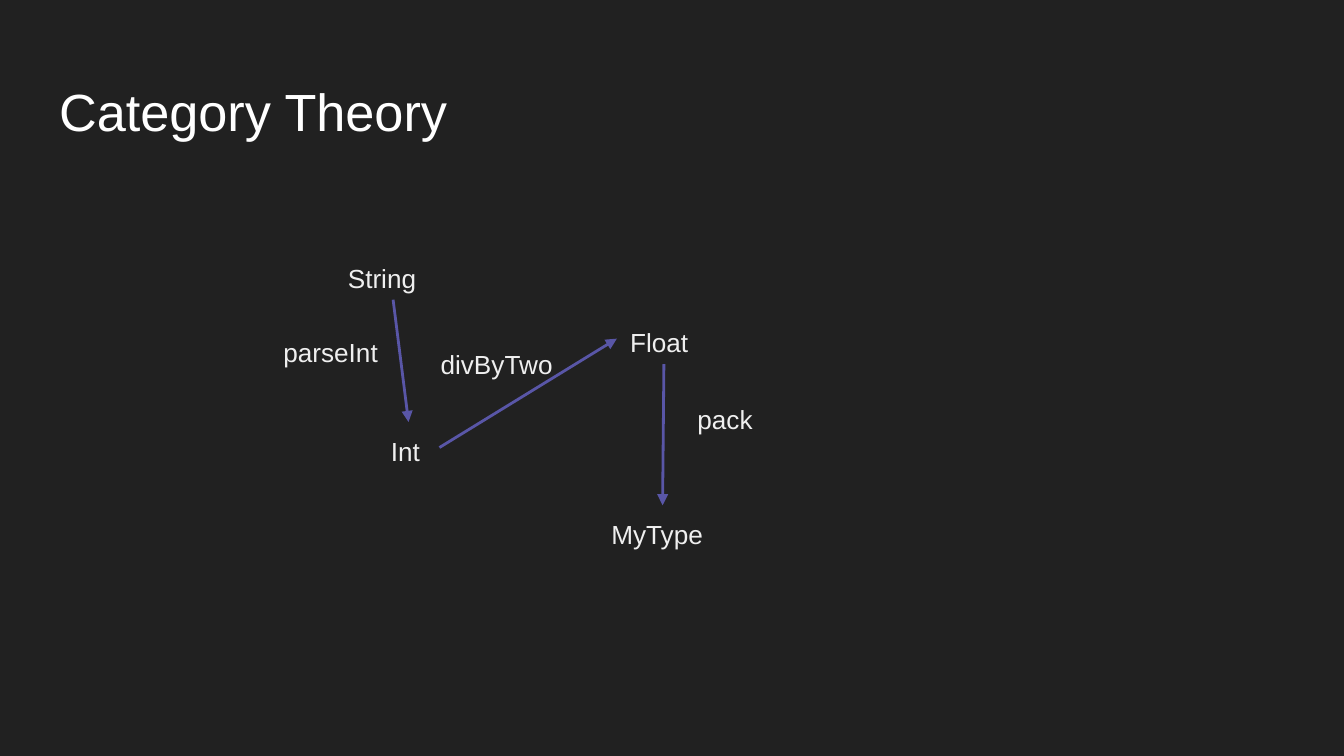
from pptx import Presentation
from pptx import util as u
from pptx.dml.color import RGBColor
from pptx.enum import shapes, text
from pptx.oxml import ns
from lxml import etree

BACKGROUND = RGBColor(0x21, 0x21, 0x21)
TITLE_COLOR = RGBColor(0xFF, 0xFF, 0xFF)
LABEL_COLOR = RGBColor(0xEF, 0xEF, 0xEF)
ARROW_COLOR = RGBColor(0x59, 0x56, 0xA7)

TOP, LEFT, BOTTOM, RIGHT = range(4)
LABEL_HEIGHT = 0.38

TYPES = {
    "String": (0.48, 0, 0.87),
    "Int": (0.80, 1.29, 0.46),
    "Float": (2.58, 0.48, 0.87),
    "MyType": (2.44, 1.91, 1.13),
}
FUNCTIONS = {
    "parseInt": (0, 0.55, 0.97),
    "divByTwo": (1.17, 0.64, 1.13),
    "pack": (3.08, 1.05, 1.32),
}
JOINED_ARROWS = [
    ("String", BOTTOM, "Int", TOP),
    ("Int", RIGHT, "Float", LEFT),
]
PACK_ARROW = (2.93, 0.86, 2.92, 1.91)


def write_text(shape, words, size, color):
    frame = shape.text_frame
    frame_format = {
        "word_wrap": True,
        "auto_size": text.MSO_AUTO_SIZE.NONE,
        "vertical_anchor": text.MSO_ANCHOR.TOP,
    }
    for side in ("left", "top", "right", "bottom"):
        frame_format[f"margin_{side}"] = u.Inches(0.1)
    for name, value in frame_format.items():
        setattr(frame, name, value)
    para = frame.paragraphs[0]
    para_format = {
        "alignment": text.PP_ALIGN.LEFT,
        "line_spacing": 1.0,
        "space_before": u.Pt(0),
    }
    for name, value in para_format.items():
        setattr(para, name, value)
    span = para.add_run()
    span.text = words
    for name, value in {"name": "Arial", "size": u.Pt(size), "bold": False}.items():
        setattr(span.font, name, value)
    span.font.color.rgb = color


def place_title(page, left, top, width, height):
    title = page.shapes.title
    box = {"left": left, "top": top, "width": width, "height": height}
    for name, value in box.items():
        setattr(title, name, u.Inches(value))
    write_text(title, "Category Theory", 28, TITLE_COLOR)


def add_label(page, words, left, top, width):
    label = page.shapes.add_textbox(
        u.Inches(left), u.Inches(top), u.Inches(width), u.Inches(LABEL_HEIGHT)
    )
    write_text(label, words, 14, LABEL_COLOR)
    return label


def add_arrow(page, *ends):
    arrow = page.shapes.add_connector(
        shapes.MSO_CONNECTOR.STRAIGHT, *(u.Inches(end) for end in ends)
    )
    arrow.line.color.rgb = ARROW_COLOR
    arrow.line.width = u.Pt(1.5)
    line = arrow._element.spPr.find(ns.qn("a:ln"))
    etree.SubElement(line, ns.qn("a:tailEnd"), type="triangle")
    etree.SubElement(arrow._element.spPr, ns.qn("a:effectLst"))
    return arrow


def place_diagram(page, left, top):
    def add_labels(places):
        return {
            words: add_label(page, words, left + x, top + y, width)
            for words, (x, y, width) in places.items()
        }

    types = add_labels(TYPES)
    for source, source_side, target, target_side in JOINED_ARROWS:
        arrow = add_arrow(page, 0, 0, 0, 0)
        arrow.begin_connect(types[source], source_side)
        arrow.end_connect(types[target], target_side)
    x1, y1, x2, y2 = PACK_ARROW
    add_arrow(page, left + x1, top + y1, left + x2, top + y2)
    add_labels(FUNCTIONS)


def main():
    deck = Presentation()
    deck.slide_width = u.Inches(10)
    deck.slide_height = deck.slide_width * 9 // 16
    page = deck.slides.add_slide(deck.slide_layouts[5])
    page.background.fill.solid()
    page.background.fill.fore_color.rgb = BACKGROUND
    place_title(page, 0.34, 0.49, 9.32, 0.63)
    place_diagram(page, 2.01, 1.85)
    deck.save("out.pptx")


if __name__ == "__main__":
    main()
